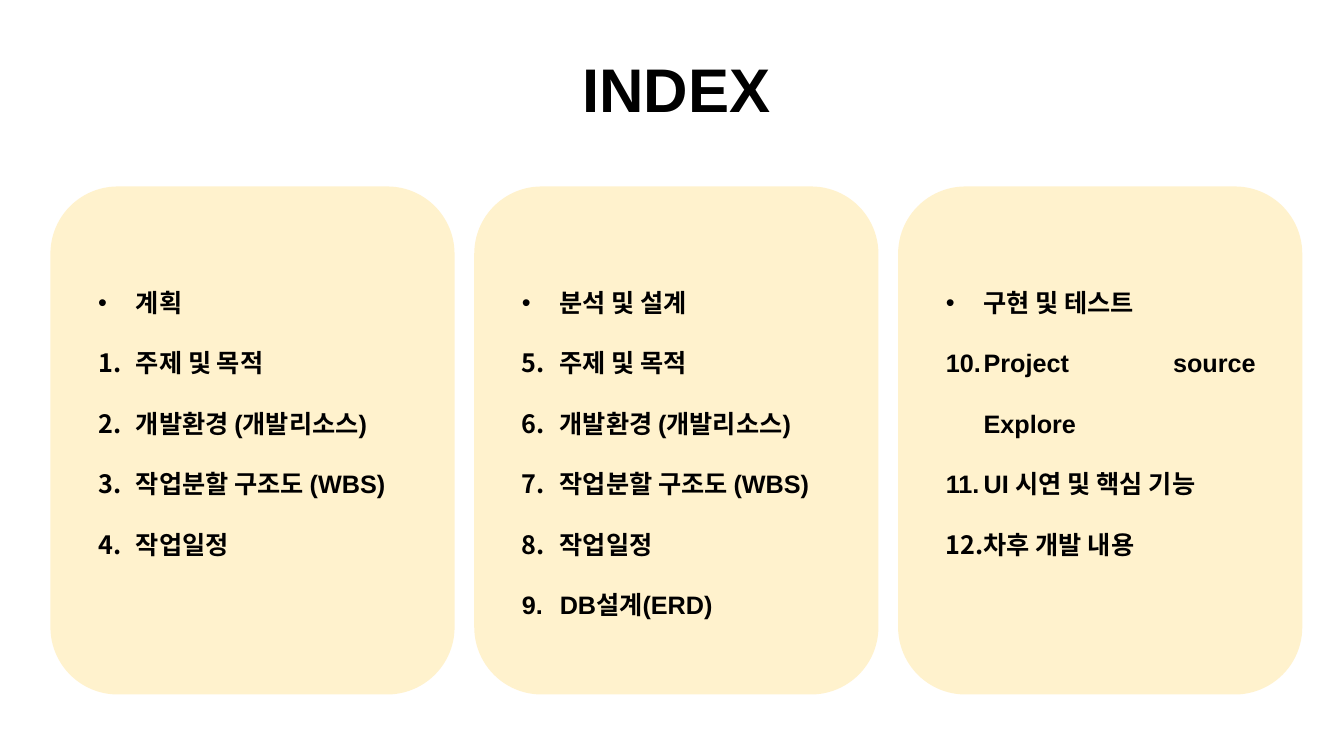
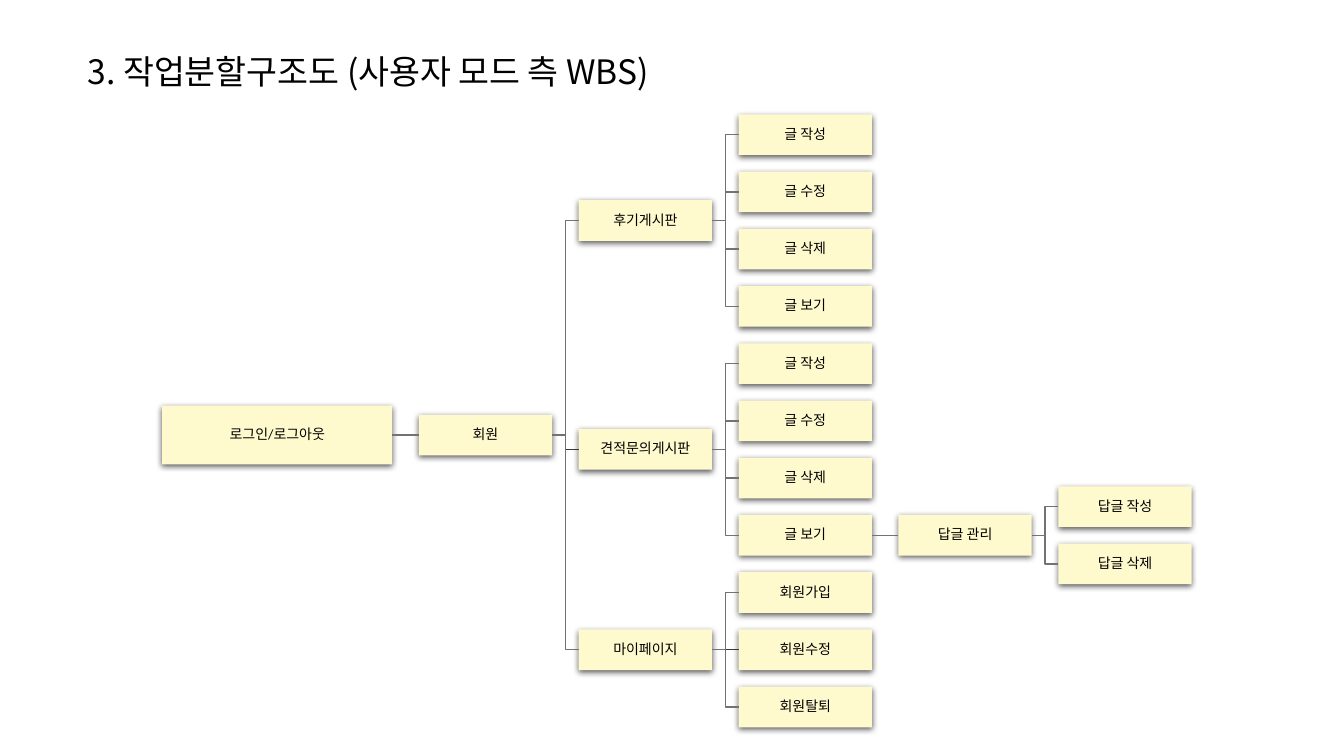
from dataclasses import dataclass
from itertools import count

from lxml import etree
from pptx import Presentation
from pptx.dml.color import RGBColor
from pptx.enum.shapes import MSO_CONNECTOR, MSO_SHAPE
from pptx.enum.text import MSO_ANCHOR, MSO_AUTO_SIZE, PP_ALIGN
from pptx.oxml.ns import qn
from pptx.util import Pt

CARD, RECT = MSO_SHAPE.FLOWCHART_ALTERNATE_PROCESS, MSO_SHAPE.RECTANGLE
ELBOW, STRAIGHT = MSO_CONNECTOR.ELBOW, MSO_CONNECTOR.STRAIGHT
TOP, MIDDLE = MSO_ANCHOR.TOP, MSO_ANCHOR.MIDDLE
LEFT, CENTER, JUSTIFY = PP_ALIGN.LEFT, PP_ALIGN.CENTER, PP_ALIGN.JUSTIFY
GROW, FIXED = MSO_AUTO_SIZE.SHAPE_TO_FIT_TEXT, MSO_AUTO_SIZE.NONE
TITLE_ONLY = 5
LEFT_SITE, RIGHT_SITE = 1, 3

INDEX_TITLE = "INDEX"
SECTIONS = [
    ("계획", 1, ["주제 및 목적", "개발환경 (개발리소스)", "작업분할 구조도 (WBS)", "작업일정"]),
    ("분석 및 설계", 5, ["주제 및 목적", "개발환경 (개발리소스)", "작업분할 구조도 (WBS)",
                    "작업일정", "DB설계(ERD)"]),
    ("구현 및 테스트", 10, ["Project source Explore", "UI 시연 및 핵심 기능", "차후 개발 내용"]),
]

WBS_TITLE = "3. 작업분할구조도 (사용자 모드 측 WBS)"
REPLIES = ("답글 관리", [("답글 작성", []), ("답글 삭제", [])])
WBS = ("로그인/로그아웃", [
    ("회원", [
        ("후기게시판", [("글 작성", []), ("글 수정", []), ("글 삭제", []), ("글 보기", [])]),
        ("견적문의게시판", [("글 작성", []), ("글 수정", []), ("글 삭제", []), ("글 보기", [REPLIES])]),
        ("마이페이지", [("회원가입", []), ("회원수정", []), ("회원탈퇴", [])]),
    ]),
])


@dataclass(frozen=True)
class Theme:
    text: str = "000000"
    card: str = "FFF2CD"
    node: str = "FFFACD"
    line: str = "767171"
    dark_line: str = "3B3838"
    head_font: str = "Arial"
    wbs_font: str = "Noto Sans CJK SC"
    node_font: str = "Calibri"
    index_size: int = 44
    wbs_size: int = 24
    list_size: int = 18
    node_size: int = 10


T = Theme()
INDEX_FONT = dict(name=T.head_font, size=Pt(T.index_size), bold=True)
LIST_FONT = dict(name=T.head_font, size=Pt(T.list_size), bold=True)
WBS_FONT = dict(name=T.wbs_font, size=Pt(T.wbs_size), bold=False)
NODE_FONT = dict(name=T.node_font, size=Pt(T.node_size), bold=False)

CARD_LEFT, CARD_TOP, CARD_W, CARD_H, CARD_PITCH = 36, 133.2, 288.7, 362.9, 302.75
LIST_INSET, LIST_TOP, LIST_W, LIST_H, LIST_INDENT = 27, 180, 235.6, 247, 27

LEAF_DEPTH = 3
NODE_W, NODE_H, NODE_GAP = 95.2, 29, 19
ROOT_LEFT, ROOT_W, ROOT_H = 115.9, 164.3, 42
FIRST_ROW, ROW_PITCH = 96.2, 40.88


def apply(obj, values):
    for name, value in values.items():
        setattr(obj, name, value)


def pts(*values):
    return [Pt(v) for v in values]


def write(p, text, font, **para):
    apply(p, para)
    r = p.add_run()
    r.text = text
    apply(r.font, font)
    r.font.color.rgb = RGBColor.from_string(T.text)


def add_box(slide, kind, bounds, color):
    sp = slide.shapes.add_shape(kind, *pts(*bounds))
    sp.shadow.inherit = False
    sp.fill.solid()
    sp.fill.fore_color.rgb = RGBColor.from_string(color)
    sp.line.fill.background()
    return sp


def title_slide(prs, text, bounds, font, frame, **para):
    slide = prs.slides.add_slide(prs.slide_layouts[TITLE_ONLY])
    sp = slide.shapes.title
    apply(sp, dict(zip(("left", "top", "width", "height"), pts(*bounds))))
    apply(sp.text_frame, frame)
    write(sp.text_frame.paragraphs[0], text, font, **para)
    return slide


def set_bullet(p, start=None):
    pPr = p._p.get_or_add_pPr()
    pPr.set("marL", str(Pt(LIST_INDENT)))
    pPr.set("indent", str(-Pt(LIST_INDENT)))
    if start is None:
        etree.SubElement(pPr, qn("a:buFont"), typeface=T.head_font)
        etree.SubElement(pPr, qn("a:buChar"), char="•")
    else:
        etree.SubElement(pPr, qn("a:buFont"), typeface="+mj-lt")
        etree.SubElement(pPr, qn("a:buAutoNum"), type="arabicPeriod", startAt=str(start))


def build_index(prs):
    slide = title_slide(prs, INDEX_TITLE, (408.2, 13.7, 149.8, 104.4), INDEX_FONT,
                        dict(vertical_anchor=MIDDLE, word_wrap=False, auto_size=FIXED),
                        alignment=CENTER, line_spacing=0.9)
    lefts = [CARD_LEFT + i * CARD_PITCH for i in range(len(SECTIONS))]
    for left in lefts:
        add_box(slide, CARD, (left, CARD_TOP, CARD_W, CARD_H), T.card)
    for left, (heading, start, items) in zip(lefts, SECTIONS):
        bounds = pts(left + LIST_INSET, LIST_TOP, LIST_W, LIST_H)
        tf = slide.shapes.add_textbox(*bounds).text_frame
        apply(tf, dict(word_wrap=True, auto_size=GROW))
        for i, text in enumerate([heading] + items):
            p = tf.add_paragraph() if i else tf.paragraphs[0]
            write(p, text, LIST_FONT, alignment=JUSTIFY, line_spacing=2.0)
            set_bullet(p, start if i else None)


def add_node(slide, label, depth, row):
    w, h = (NODE_W, NODE_H) if depth else (ROOT_W, ROOT_H)
    left = ROOT_LEFT
    if depth:
        left += ROOT_W + NODE_GAP + (depth - 1) * (NODE_W + NODE_GAP)
    top = FIRST_ROW + row * ROW_PITCH - h / 2
    sp = add_box(slide, RECT, (left, top, w, h), T.node)
    shadow = etree.SubElement(sp._element.spPr.find(qn("a:effectLst")), qn("a:outerShdw"),
                              blurRad=str(Pt(4.5)), dist=str(Pt(1.5)), dir="5400000",
                              algn="ctr", rotWithShape="0")
    color = etree.SubElement(shadow, qn("a:srgbClr"), val="000000")
    etree.SubElement(color, qn("a:alpha"), val="63000")
    tf = sp.text_frame
    margins = dict.fromkeys(("margin_left", "margin_top", "margin_right", "margin_bottom"), Pt(0.7))
    apply(tf, dict(margins, word_wrap=True, vertical_anchor=MIDDLE))
    write(tf.paragraphs[0], label, NODE_FONT, alignment=CENTER, line_spacing=0.9)
    return sp


def link(slide, parent, child, kind, color):
    cx = slide.shapes.add_connector(kind, 0, 0, 0, 0)
    cx.begin_connect(parent, RIGHT_SITE)
    cx.end_connect(child, LEFT_SITE)
    cx.line.color.rgb = RGBColor.from_string(color)
    cx.line.width = Pt(1)
    etree.SubElement(cx._element.spPr, qn("a:effectLst"))


def place(slide, node, depth, rows, row=None):
    label, kids = node
    last = len(kids) - 1
    if depth < LEAF_DEPTH:
        placed = [place(slide, kid, depth + 1, rows) for kid in kids]
        row = (placed[0][1] + placed[-1][1]) / 2
    else:
        row = next(rows) if row is None else row
        placed = [place(slide, kid, depth + 1, rows, row + i - last / 2)
                  for i, kid in enumerate(kids)]
    sp = add_node(slide, label, depth, row)
    for i, (kid, kid_row) in enumerate(placed):
        is_middle = last > 0 and 2 * i == last
        link(slide, sp, kid, STRAIGHT if kid_row == row else ELBOW,
             T.dark_line if is_middle else T.line)
    return sp, row


def build_wbs(prs):
    slide = title_slide(prs, WBS_TITLE, (55.4, 32.4, 442, 36), WBS_FONT,
                        dict(vertical_anchor=TOP, word_wrap=True, auto_size=GROW),
                        alignment=LEFT, line_spacing=Pt(28.8))
    place(slide, WBS, 0, count())


def main():
    prs = Presentation()
    prs.slide_width, prs.slide_height = pts(960, 540)
    build_index(prs)
    build_wbs(prs)
    prs.save("out.pptx")


if __name__ == "__main__":
    main()
